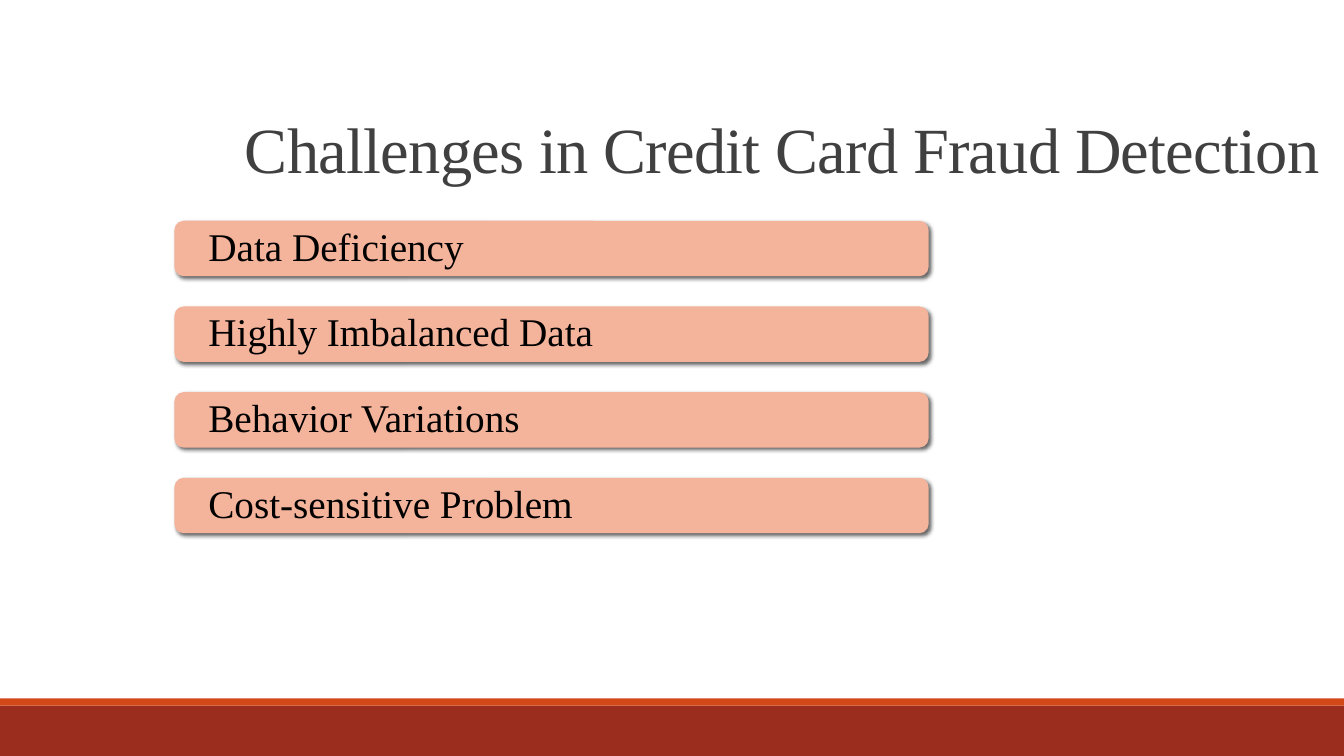
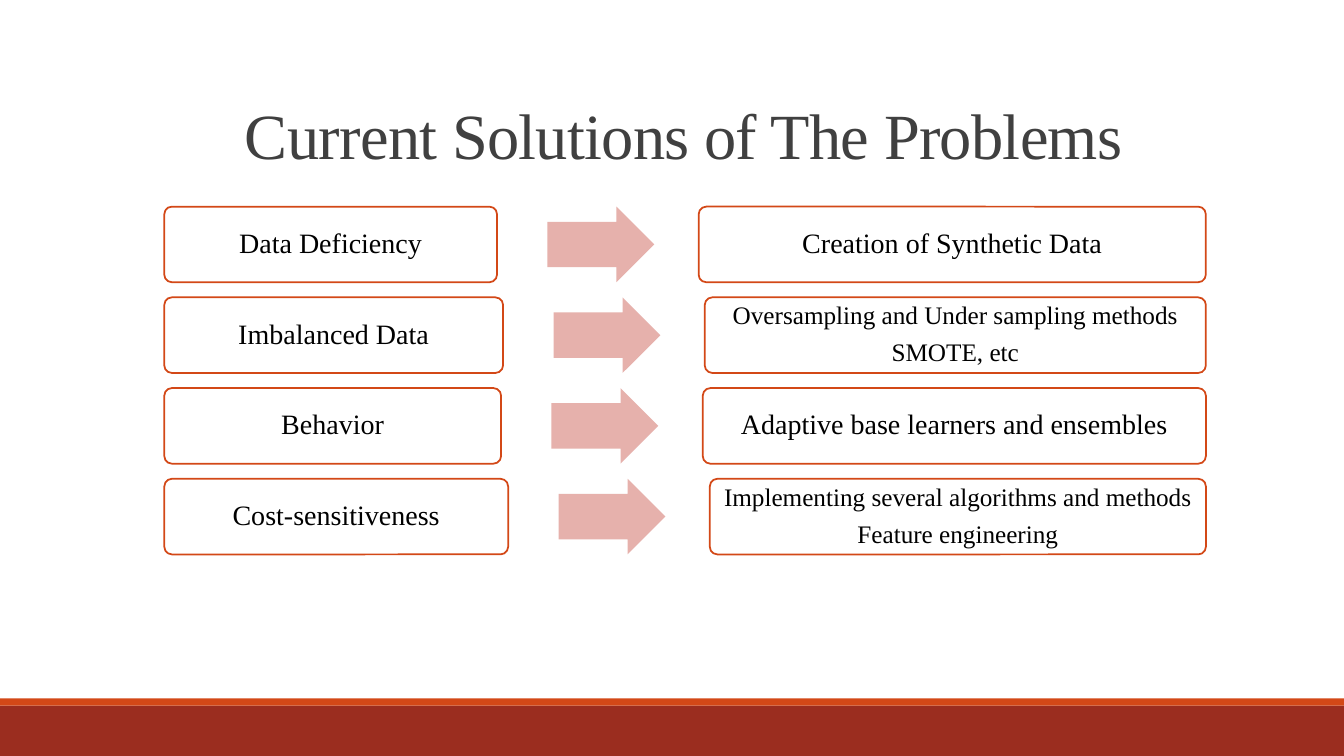
import pptx
import pptx.dml.color
import pptx.enum.shapes
import pptx.enum.text
import pptx.oxml
import pptx.oxml.ns
import pptx.util

Inches = pptx.util.Inches
Pt = pptx.util.Pt
Shape = pptx.enum.shapes.MSO_SHAPE
Align = pptx.enum.text.PP_ALIGN
Anchor = pptx.enum.text.MSO_ANCHOR

COLOURS = {
    "footer": "9B2D1F",
    "accent": "D34817",
    "title": "404040",
    "text": "000000",
    "bar": "F4B39B",
    "arrow": "E6B1AC",
    "white": "FFFFFF",
}
FONT = "Times New Roman"
SHADOW = (
    f'<a:effectLst {pptx.oxml.ns.nsdecls("a")}>'
    '<a:outerShdw blurRad="38100" dist="25400" dir="2700000" algn="ctr" rotWithShape="0">'
    '<a:srgbClr val="000000"><a:alpha val="60000"/></a:srgbClr>'
    "</a:outerShdw></a:effectLst>"
)

CHALLENGES = [
    "Data Deficiency",
    "Highly Imbalanced Data",
    "Behavior Variations",
    "Cost-sensitive Problem",
]
SOLUTIONS = [
    ("Data Deficiency", 3.3, ["Creation of Synthetic Data"]),
    ("Imbalanced Data", 3.36, ["Oversampling and Under sampling methods", "SMOTE, etc"]),
    ("Behavior", 3.34, ["Adaptive base learners and ensembles"]),
    ("Cost-sensitiveness", 3.41, ["Implementing several algorithms and methods", "Feature engineering"]),
]


def colour(name):
    return pptx.dml.color.RGBColor.from_string(COLOURS[name])


def apply(target, **values):
    for name, value in values.items():
        setattr(target, name, value)


class SlideBuilder:
    def __init__(self):
        self.deck = pptx.Presentation()
        apply(self.deck, slide_width=Inches(13.33), slide_height=Inches(7.5))
        self.page = None

    def start(self, title, top):
        self.page = self.deck.slides.add_slide(self.deck.slide_layouts[5])
        self.shape(Shape.RECTANGLE, 0, 7, 13.33, 0.5, "footer")
        self.shape(Shape.RECTANGLE, 0, 6.93, 13.33, 0.07, "accent")
        box = self.page.shapes.title
        apply(box, left=Inches(2.33), top=Inches(top), width=Inches(11), height=Inches(1.59))
        self.text(box, [title], 46, "title", Align.LEFT, 0.85, Anchor.BOTTOM)
        for para in box.text_frame.paragraphs:
            for span in para.runs:
                span.font._element.set("spc", "-50")

    def shape(self, kind, left, top, width, height, fill):
        box = self.page.shapes.add_shape(kind, Inches(left), Inches(top), Inches(width), Inches(height))
        box.shadow.inherit = False
        box.fill.solid()
        box.fill.fore_color.rgb = colour(fill)
        box.line.fill.background()
        return box

    def text(self, box, lines, size, ink="text", align=Align.CENTER, spacing=0.9, anchor=Anchor.MIDDLE):
        frame = box.text_frame
        apply(frame, word_wrap=True, vertical_anchor=anchor, auto_size=pptx.enum.text.MSO_AUTO_SIZE.NONE)
        for index, line in enumerate(lines):
            para = frame.add_paragraph() if index else frame.paragraphs[0]
            apply(para, alignment=align, line_spacing=spacing, space_before=Pt(7 if index else 0))
            span = para.add_run()
            span.text = line
            apply(span.font, size=Pt(size), name=FONT)
            span.font.color.rgb = colour(ink)

    def bar(self, text, top):
        box = self.shape(Shape.ROUNDED_RECTANGLE, 1.73, top, 7.48, 0.55, "bar")
        properties = box._element.spPr
        properties.remove(properties.find(pptx.oxml.ns.qn("a:effectLst")))
        properties.append(pptx.oxml.parse_xml(SHADOW))
        apply(box.text_frame, margin_left=Inches(0.31), margin_top=0, margin_bottom=0)
        self.text(box, [text], 28, align=Align.LEFT)

    def card(self, lines, left, top, width):
        box = self.shape(Shape.ROUNDED_RECTANGLE, left, top, width, 0.75, "white")
        box.adjustments[0] = 0.1
        box.line.color.rgb = colour("accent")
        box.line.width = Pt(1.25)
        margin = Inches(0.09)
        apply(box.text_frame, margin_left=margin, margin_right=margin, margin_top=margin, margin_bottom=margin)
        self.text(box, lines, 18 if len(lines) > 1 else 20)

    def arrow(self, left, top, width):
        box = self.shape(Shape.RIGHT_ARROW, left, top, width, 0.75, "arrow")
        box.adjustments[0] = 0.6
        box.adjustments[1] = 0.5


def build_challenges(builder):
    builder.start("Challenges in Credit Card Fraud Detection", 0.31)
    for row, challenge in enumerate(CHALLENGES):
        builder.bar(challenge, 2.19 + 0.85 * row)


def build_solutions(builder):
    builder.start("Current Solutions of The Problems", 0.17)
    left, right, arrow_width = 1.63, 11.96, 1.06
    for row, (problem, width, solution) in enumerate(SOLUTIONS):
        top = 2.05 + 0.9 * row
        arrow_left = left + width + 0.5
        solution_left = arrow_left + arrow_width + 0.44
        builder.card([problem], left, top, width)
        builder.arrow(arrow_left, top, arrow_width)
        builder.card(solution, solution_left, top, right - solution_left)


def main():
    builder = SlideBuilder()
    build_challenges(builder)
    build_solutions(builder)
    builder.deck.save("out.pptx")


if __name__ == "__main__":
    main()
